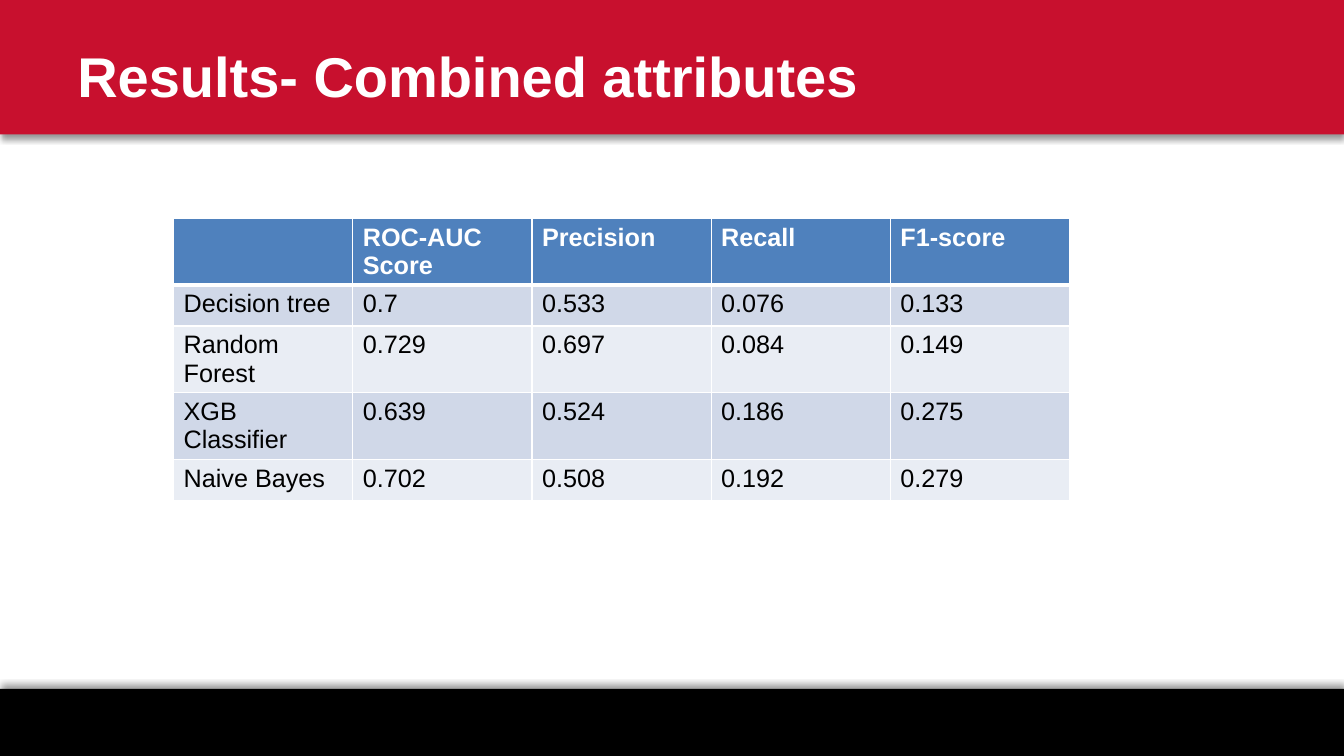
"""Build the slide that compares classifier results on the combined attributes."""
from lxml.etree import SubElement
from pptx import Presentation
from pptx.dml.color import RGBColor
from pptx.enum.shapes import MSO_SHAPE
from pptx.enum.text import MSO_ANCHOR, PP_ALIGN
from pptx.oxml.ns import qn
from pptx.util import Inches, Pt

COLORS = {
    "white": "FFFFFF",
    "black": "000000",
    "red": "C8102E",
    "header": "4F81BD",
    "odd": "D0D8E8",
    "even": "E9EDF4",
}
COLUMNS, ROWS = 120, 90
RESULTS = [
    ["", "ROC-AUC Score", "Precision", "Recall", "F1-score"],
    ["Decision tree", "0.7", "0.533", "0.076", "0.133"],
    ["Random Forest", "0.729", "0.697", "0.084", "0.149"],
    ["XGB Classifier", "0.639", "0.524", "0.186", "0.275"],
    ["Naive Bayes", "0.702", "0.508", "0.192", "0.279"],
]


class SlideBuilder:
    def __init__(self, deck, font="Arial"):
        self.font = font
        self.column = deck.slide_width / COLUMNS
        self.row = deck.slide_height / ROWS
        self.slide = deck.slides.add_slide(deck.slide_layouts[5])

    def area(self, left, top, width, height):
        return (round(left * self.column), round(top * self.row),
                round(width * self.column), round(height * self.row))

    def style(self, paragraph, size, color, bold):
        for span in paragraph.runs:
            span.font.name = self.font
            span.font.size = Pt(size)
            span.font.bold = bold
            span.font.color.rgb = RGBColor.from_string(COLORS[color])

    def band(self, top, height, color, direction):
        box = self.slide.shapes.add_shape(
            MSO_SHAPE.RECTANGLE, *self.area(0, top, COLUMNS, height))
        box.fill.solid()
        box.fill.fore_color.rgb = RGBColor.from_string(COLORS[color])
        box.line.fill.background()
        box.shadow.inherit = False
        effects = box._element.spPr.find(qn("a:effectLst"))
        shadow = SubElement(effects, qn("a:outerShdw"), blurRad=str(Pt(4)),
                            dist=str(Pt(3)), dir=str(direction * 60000),
                            algn="ctr", rotWithShape="0")
        tint = SubElement(shadow, qn("a:srgbClr"), val=COLORS["black"])
        SubElement(tint, qn("a:alpha"), val="40000")

    def title(self, text, left, top, width, height):
        box = self.slide.shapes.title
        box.left, box.top, box.width, box.height = self.area(left, top, width, height)
        box.text_frame.text = text
        box.text_frame.vertical_anchor = MSO_ANCHOR.MIDDLE
        para = box.text_frame.paragraphs[0]
        para.alignment = PP_ALIGN.LEFT
        self.style(para, 40, "white", True)
        self.slide.shapes._spTree.append(box._element)

    def borders(self, cell, top, bottom):
        properties = cell._tc.get_or_add_tcPr()
        for side, width in (("L", 1), ("R", 1), ("T", top), ("B", bottom)):
            line = SubElement(properties, qn(f"a:ln{side}"), w=str(Pt(width)))
            fill = SubElement(line, qn("a:solidFill"))
            SubElement(fill, qn("a:srgbClr"), val=COLORS["white"])

    def table(self, values, left, top, column_width, row_height):
        count = len(values[0])
        table = self.slide.shapes.add_table(
            len(values), count,
            *self.area(left, top, column_width * count, row_height * len(values))).table
        for row_index, row in enumerate(values):
            header = row_index == 0
            fill = "header" if header else ("even", "odd")[row_index % 2]
            for column_index, text in enumerate(row):
                cell = table.cell(row_index, column_index)
                cell.text_frame.text = text
                self.style(cell.text_frame.paragraphs[0], 18,
                           "white" if header else "black", header)
                self.borders(cell, 3 if row_index == 1 else 1, 3 if header else 1)
                cell.fill.solid()
                cell.fill.fore_color.rgb = RGBColor.from_string(COLORS[fill])


def main():
    deck = Presentation()
    deck.slide_width, deck.slide_height = Inches(13.33), Inches(7.5)
    builder = SlideBuilder(deck)
    builder.band(82, 8, "black", 270)
    builder.band(0, 16, "red", 90)
    builder.title("Results- Combined attributes", 6, 2, 99, 14)
    builder.table(RESULTS, 15.5, 26, 16, 4.9)
    deck.save("out.pptx")


if __name__ == "__main__":
    main()
